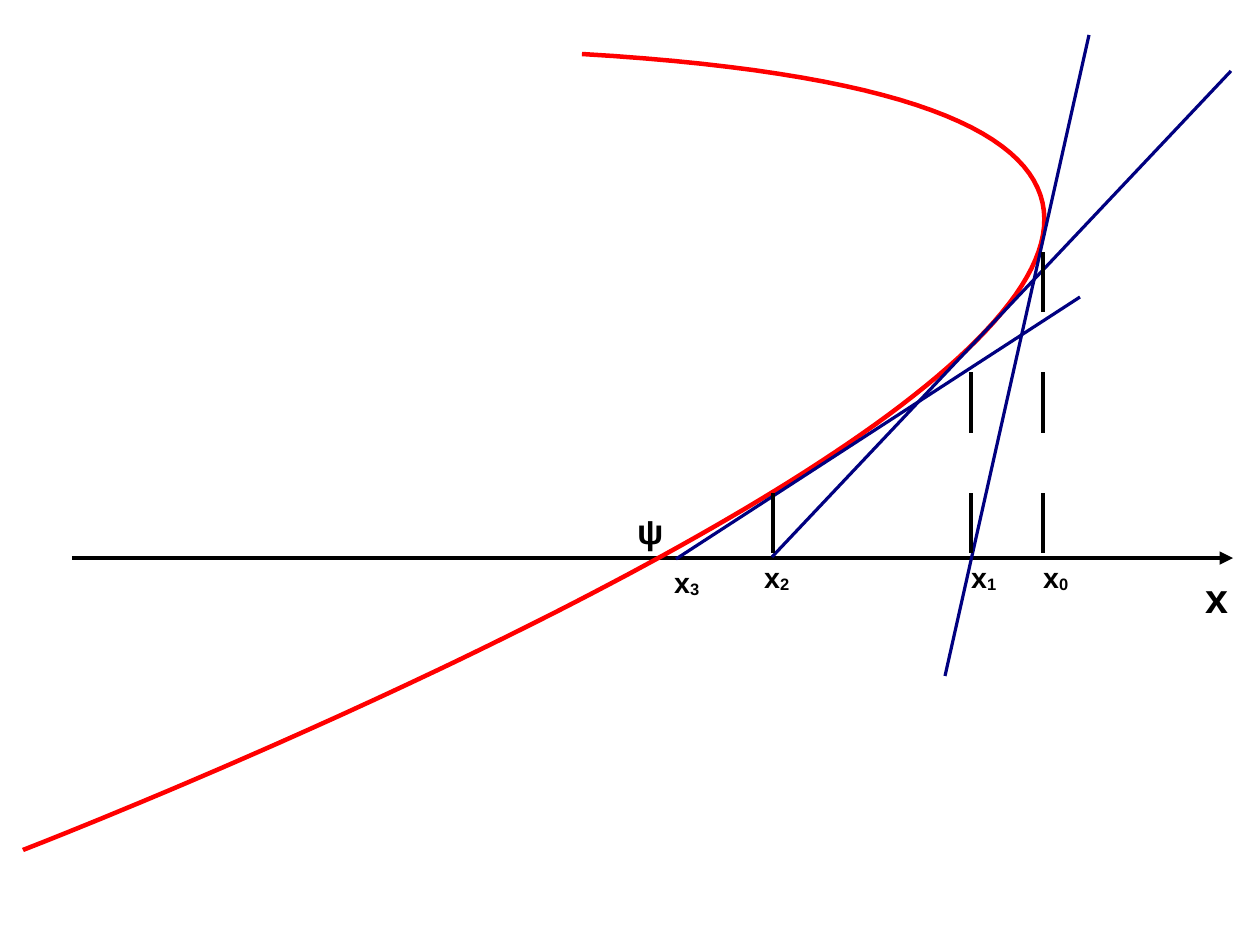
from pptx import Presentation
from pptx.dml.color import RGBColor
from pptx.enum.shapes import MSO_CONNECTOR as Connector
from pptx.enum.text import MSO_AUTO_SIZE as AutoSize
from pptx.oxml.ns import qn
from pptx.util import Pt
from lxml.etree import SubElement

PX = 8000
BLACK, RED, NAVY = "000000", "FF0000", "000080"
HAIRLINE, THICK = 0, 2.83
CURVE = [(582, 54), (1884, 131), (23, 850), (23, 850)]
CURVE_STEPS = 120
TANGENTS = [(1089, 35, 945, 676), (1231, 71, 772, 557), (1080, 297, 676, 559)]
DROPS = [(1043, 234), (971, 342), (773, 486)]
DROP_FOOT = 553
ITERATES = [("0", 1032, 554), ("1", 960, 554), ("2", 753, 554), ("3", 663, 559)]


def px(length):
    return round(length * PX)


def color(code):
    return RGBColor.from_string(code)


def style_line(shape, code, width):
    shape.line.color.rgb = color(code)
    shape.line.width = Pt(width)


def add_line(page, ends, code, width=HAIRLINE):
    line = page.shapes.add_connector(Connector.STRAIGHT, *map(px, ends))
    style_line(line, code, width)
    SubElement(line._element.spPr, qn("a:effectLst"))
    return line


def add_label(page, box, text, size, subscript=""):
    left, top, width, height = map(px, box)
    label = page.shapes.add_textbox(left, top, width, height)
    frame = label.text_frame
    frame.word_wrap = False
    frame.auto_size = AutoSize.SHAPE_TO_FIT_TEXT
    para = frame.paragraphs[0]
    for part in filter(None, (text, subscript)):
        span = para.add_run()
        span.text = part
        span.font.name = "Arial"
        span.font.size = Pt(size)
        span.font.bold = True
        span.font.color.rgb = color(BLACK)
        if part == subscript:
            span._r.get_or_add_rPr().set("baseline", "-8000")


def add_axis(page):
    axis = add_line(page, (72, 558, 1233, 558), BLACK, THICK)
    SubElement(axis.line._get_or_add_ln(), qn("a:tailEnd"), type="triangle")


def bezier_point(t):
    weights = ((1 - t) ** 3, 3 * t * (1 - t) ** 2, 3 * t ** 2 * (1 - t), t ** 3)
    return tuple(px(sum(w * v for w, v in zip(weights, axis))) for axis in zip(*CURVE))


def add_curve(page):
    points = [bezier_point(step / CURVE_STEPS) for step in range(CURVE_STEPS + 1)]
    builder = page.shapes.build_freeform(*points[0])
    builder.add_line_segments(points[1:], close=False)
    curve = builder.convert_to_shape()
    curve.shadow.inherit = False
    curve.fill.background()
    style_line(curve, RED, THICK)


def add_drop(page, x, top):
    """Draw a dashed line from the axis up to the curve."""
    drop = add_line(page, (x, DROP_FOOT, x, top), BLACK)
    dashes = SubElement(drop.line._get_or_add_ln(), qn("a:custDash"))
    SubElement(dashes, qn("a:ds"), d="1885000", sp="1885000")


def add_newton_diagram(page):
    add_axis(page)
    add_curve(page)
    for ends in TANGENTS:
        add_line(page, ends, NAVY)
    for x, top in DROPS:
        add_drop(page, x, top)
    add_label(page, (626, 504, 49, 50), "ψ", 22)
    add_label(page, (1194, 567, 46, 57), "x", 26)
    for index, left, top in ITERATES:
        add_label(page, (left, top, 48, 53), "x", 18, index)


def main():
    deck = Presentation()
    deck.slide_width, deck.slide_height = px(1260), px(945)
    page = deck.slides.add_slide(deck.slide_layouts[6])
    add_newton_diagram(page)
    deck.save("out.pptx")


if __name__ == "__main__":
    main()
